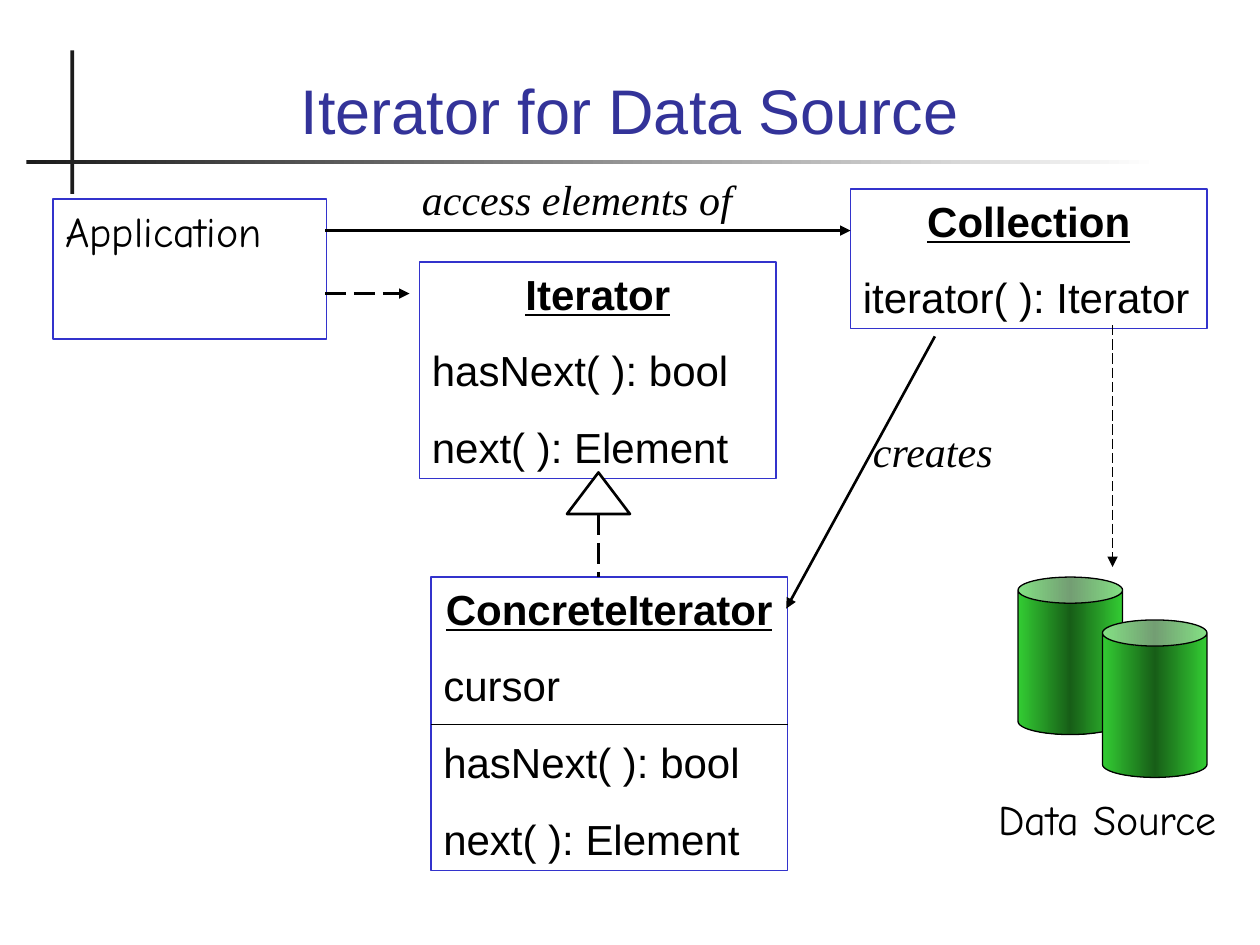
from lxml import etree
from pptx import Presentation
from pptx.dml.color import RGBColor
from pptx.enum.dml import MSO_LINE
from pptx.enum.shapes import MSO_CONNECTOR, MSO_SHAPE
from pptx.enum.text import MSO_ANCHOR, PP_ALIGN
from pptx.oxml import parse_xml
from pptx.oxml.ns import nsdecls, qn
from pptx.util import Inches, Pt

RECT, CAN, TRIANGLE = MSO_SHAPE.RECTANGLE, MSO_SHAPE.CAN, MSO_SHAPE.ISOSCELES_TRIANGLE
STRAIGHT = MSO_CONNECTOR.STRAIGHT
DASH = MSO_LINE.LONG_DASH
LEFT, CENTER = PP_ALIGN.LEFT, PP_ALIGN.CENTER
TOP, BOTTOM = MSO_ANCHOR.TOP, MSO_ANCHOR.BOTTOM

BLACK = RGBColor(0x00, 0x00, 0x00)
WHITE = RGBColor(0xFF, 0xFF, 0xFF)
CHARCOAL = RGBColor(0x1C, 0x1C, 0x1C)
NAVY = RGBColor(0x33, 0x33, 0x99)
BLUE = RGBColor(0x33, 0x33, 0xCC)
GREEN = RGBColor(0x33, 0xCC, 0x33)
DARK_GREEN = RGBColor(0x17, 0x5E, 0x17)

SANS, HAND, SERIF = "Arial", "Comic Neue", "Times New Roman"

TITLE = "Iterator for Data Source"

# (left, top, width, height), underlined class name, members
CLASSES = [
    ((3.33, 2.08, 2.83, 1.72), "Iterator", ["hasNext( ): bool", "next( ): Element"]),
    ((3.42, 4.58, 2.83, 2.33), "ConcreteIterator",
     ["cursor", "hasNext( ): bool", "next( ): Element"]),
    ((6.75, 1.5, 2.83, 1.11), "Collection", ["iterator( ): Iterator"]),
]
APPLICATION = ((0.42, 1.58, 2.17, 1.11), "Application")

# (left, top, width, height), text, font, italic, alignment
LABELS = [
    ((7.58, 6.25, 2.42, 0.5), "Data Source", HAND, False, CENTER),
    ((3.25, 1.33, 2.75, 0.5), "access elements of", SERIF, True, LEFT),
    ((6.83, 3.33, 1.25, 0.5), "creates", SERIF, True, LEFT),
]

# from, to, width in points, dashed, arrowhead
LINES = [
    ((4.75, 4.08), (4.75, 4.58), 1.5, True, False),
    ((3.42, 5.75), (6.25, 5.75), 0.75, False, False),
    ((2.58, 1.83), (6.75, 1.83), 1.5, False, True),
    ((2.58, 2.33), (3.25, 2.33), 1.5, True, True),
    ((7.42, 2.67), (6.24, 4.83), 1.5, False, True),
    ((8.83, 2.58), (8.83, 4.5), 0.75, True, True),
]

CYLINDERS = [(8.08, 4.58, 0.83, 1.25), (8.75, 4.92, 0.83, 1.25)]
INHERITANCE_HEAD = (4.5, 3.75, 0.5, 0.33)


def inches(values):
    return [Inches(v) for v in values]


def add_shape(slide, kind, box, fill=None, line=None, width=0.75):
    sp = slide.shapes.add_shape(kind, *inches(box))
    sp.shadow.inherit = False
    if fill is None:
        sp.fill.background()
    else:
        sp.fill.solid()
        sp.fill.fore_color.rgb = fill
    if line is None:
        sp.line.fill.background()
    else:
        sp.line.color.rgb = line
        sp.line.width = Pt(width)
    return sp


def set_gradient(sp, colors):
    """Replace the solid fill by evenly spaced colours running left to right."""
    step = 100000 // (len(colors) - 1)
    stops = "".join(f'<a:gs pos="{i * step}"><a:srgbClr val="{color}"/></a:gs>'
                    for i, color in enumerate(colors))
    gradient = parse_xml(f'<a:gradFill {nsdecls("a")} rotWithShape="1"><a:gsLst>{stops}'
                         '</a:gsLst><a:lin ang="0" scaled="0"/></a:gradFill>')
    solid = sp._element.spPr.find(qn("a:solidFill"))
    solid.getparent().replace(solid, gradient)


def write(sp, rows, font):
    """Fill a shape with rows of (text, alignment, heading, italic)."""
    tf = sp.text_frame
    tf.word_wrap = True
    tf.vertical_anchor = TOP
    for i, (text, align, heading, italic) in enumerate(rows):
        p = tf.add_paragraph() if i else tf.paragraphs[0]
        p.alignment = align
        if i:
            p.space_before = Pt(15)
        r = p.add_run()
        r.text = text
        r.font.name = font
        r.font.size = Pt(24)
        r.font.color.rgb = BLACK
        r.font.bold = r.font.underline = heading
        r.font.italic = italic


def add_line(slide, start, end, width, dashed, arrow):
    line = slide.shapes.add_connector(STRAIGHT, *inches(start + end))
    line.line.color.rgb = BLACK
    line.line.width = Pt(width)
    if dashed:
        line.line.dash_style = DASH
    if arrow:
        etree.SubElement(line.line._get_or_add_ln(), qn("a:tailEnd"), type="triangle")
    etree.SubElement(line._element.spPr, qn("a:effectLst"))


def add_title(slide):
    title = slide.shapes.title
    title.left, title.top, title.width, title.height = inches((0.67, 0.28, 8.66, 0.94))
    tf = title.text_frame
    tf.vertical_anchor = BOTTOM
    p = tf.paragraphs[0]
    p.alignment = CENTER
    r = p.add_run()
    r.text = TITLE
    r.font.name = SANS
    r.font.size = Pt(36)
    r.font.color.rgb = NAVY


def main():
    prs = Presentation()
    prs.slide_width, prs.slide_height = Inches(10), Inches(7.5)
    slide = prs.slides.add_slide(prs.slide_layouts[5])

    add_shape(slide, RECT, (0.56, 0.4, 0.03, 1.14), CHARCOAL)
    rule = add_shape(slide, RECT, (0.21, 1.27, 8.99, 0.03), CHARCOAL)
    set_gradient(rule, [CHARCOAL, WHITE])
    add_title(slide)

    for box, name, members in CLASSES:
        sp = add_shape(slide, RECT, box, line=BLUE)
        rows = [(name, CENTER, True, False)]
        rows += [(member, LEFT, False, False) for member in members]
        write(sp, rows, SANS)
    box, name = APPLICATION
    write(add_shape(slide, RECT, box, line=BLUE), [(name, LEFT, False, False)], HAND)

    add_shape(slide, TRIANGLE, INHERITANCE_HEAD, WHITE, BLACK, 1.5)
    for box in CYLINDERS:
        can = add_shape(slide, CAN, box, GREEN, BLACK)
        set_gradient(can, [GREEN, DARK_GREEN, GREEN])
    for line in LINES:
        add_line(slide, *line)
    for box, text, font, italic, align in LABELS:
        label = slide.shapes.add_textbox(*inches(box))
        write(label, [(text, align, False, italic)], font)

    prs.save("out.pptx")


if __name__ == "__main__":
    main()
